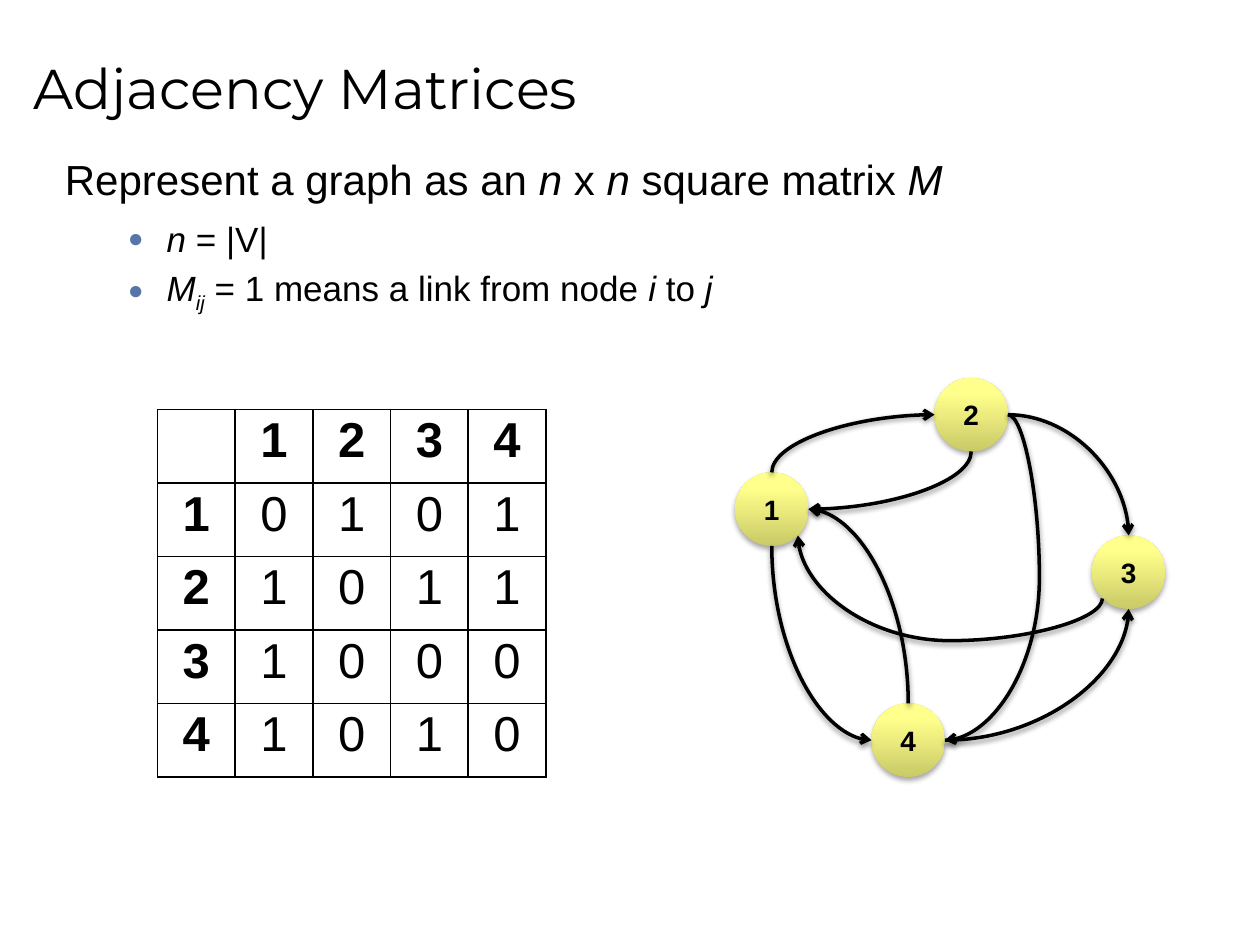
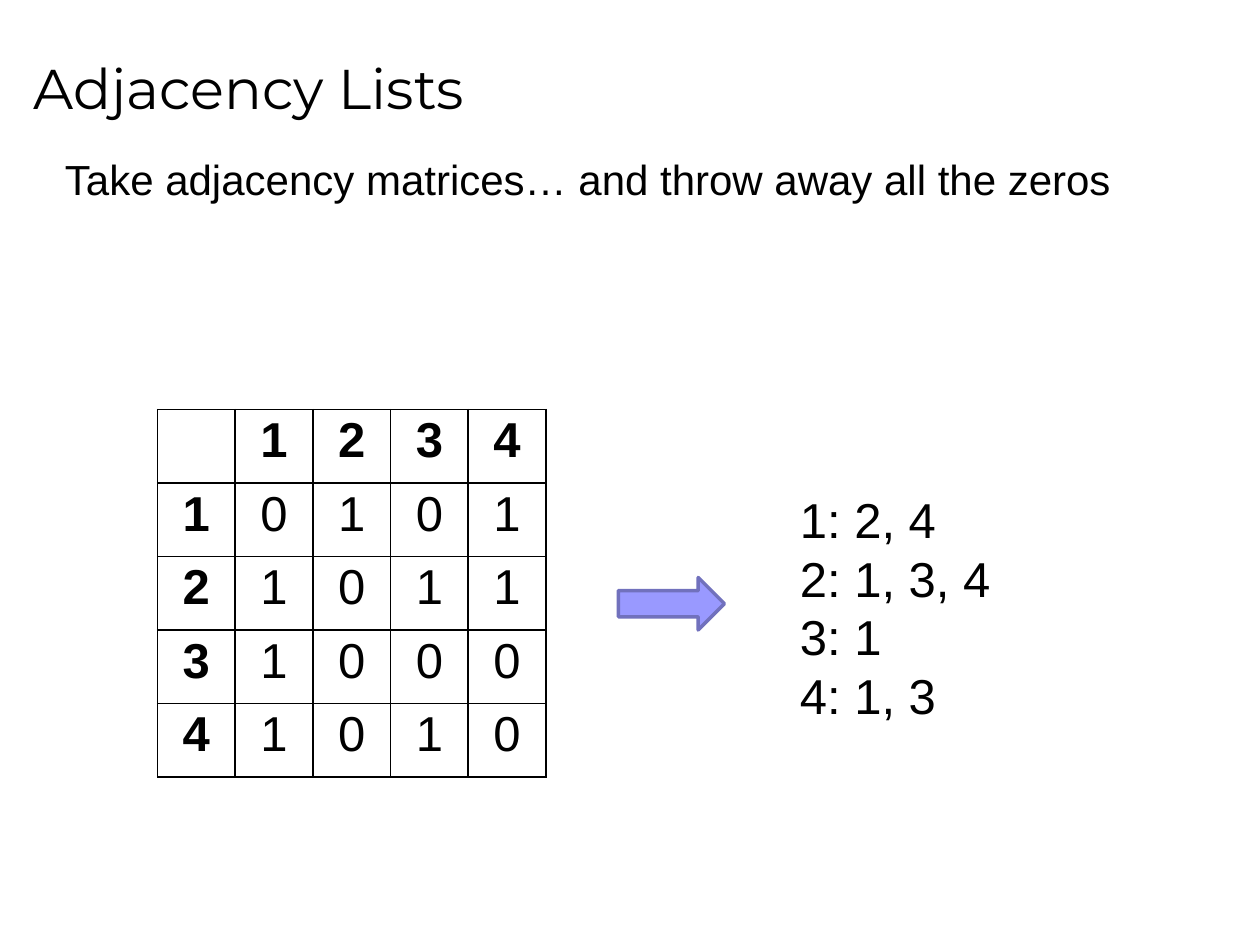
from pptx import Presentation
from pptx import util as u
from pptx.dml.color import RGBColor
from pptx.enum import shapes, text
from pptx.oxml import parse_xml
from pptx.oxml.ns import nsdecls, qn

PX = 7620  # EMU per px, 120 px to the inch
BLACK = RGBColor(0x00, 0x00, 0x00)
BULLET_BLUE = RGBColor(0x56, 0x75, 0xA9)
ARROW_FILL = RGBColor(0x99, 0x99, 0xFF)
ARROW_EDGE = RGBColor(0x71, 0x71, 0xBD)
NODE_STOPS = [(0, RGBColor(0xCA, 0xCA, 0x67)), (80, RGBColor(0xFF, 0xFF, 0x8C)),
              (100, RGBColor(0xFF, 0xFF, 0x8E))]
TITLE_FONT, BODY_FONT = "Montserrat", "Arial"

MATRIX = [[0, 1, 0, 1],
          [1, 0, 1, 1],
          [1, 0, 0, 0],
          [1, 0, 1, 0]]

NODE_SIZE = 70
NODE_CORNERS = {1: (700, 450), 2: (890, 360), 3: (1040, 510), 4: (830, 670)}
PORTS = {"N": (0, -35), "S": (0, 35), "W": (-35, 0), "E": (35, 0),
         "SW": (-25, 25), "SE": (25, 25)}
# from node, port, to node, port, bend of an S-shaped link
LINKS = [(1, "N", 2, "W", None), (1, "S", 4, "W", None),
         (2, "S", 1, "E", None), (2, "E", 3, "N", None),
         (2, "E", 4, "E", -0.5), (3, "SW", 1, "SE", -0.67),
         (4, "N", 1, "E", None), (4, "E", 3, "S", None)]


def px(*lengths):
    return [u.Emu(round(length * PX)) for length in lengths]


def element(tag, attributes="", inner=""):
    return parse_xml(f"<a:{tag} {nsdecls('a')} {attributes}>{inner}</a:{tag}>")


def colour(rgb, inner=""):
    return f'<a:srgbClr val="{rgb}">{inner}</a:srgbClr>'


def shadow(opacity, distance):
    return element("effectLst", inner=(
        f'<a:outerShdw blurRad="{u.Pt(3.1)}" dist="{u.Pt(distance)}" dir="5400000" '
        f'algn="ctr" rotWithShape="0">'
        + colour(BLACK, f'<a:alpha val="{opacity}000"/>') + "</a:outerShdw>"))


def port(node, side):
    return [corner + NODE_SIZE / 2 + offset
            for corner, offset in zip(NODE_CORNERS[node], PORTS[side])]


class Deck:
    def __init__(self):
        self.prs = Presentation()
        self.prs.slide_width, self.prs.slide_height = px(1200, 900)
        self.slide = None

    def new_slide(self, title):
        self.slide = self.prs.slides.add_slide(self.prs.slide_layouts[6])
        frame = self.text_box(20, 15, 1140, 135)
        frame.vertical_anchor = text.MSO_ANCHOR.MIDDLE
        self.run(frame.paragraphs[0], title, 32, font=TITLE_FONT)

    def text_box(self, *box, wrap=True):
        frame = self.slide.shapes.add_textbox(*px(*box)).text_frame
        frame.word_wrap = wrap
        return frame

    def run(self, paragraph, words, size, style="", bold=False, font=BODY_FONT):
        """Add a run; style may hold "i" (italic) and "sub" (subscript)."""
        run = paragraph.add_run()
        run.text = words
        run.font.name, run.font.size = font, u.Pt(size)
        run.font.color.rgb = BLACK
        run.font.bold, run.font.italic = bold, "i" in style
        if "sub" in style:
            run._r.get_or_add_rPr().set("baseline", "-25000")

    def body(self, lead, points=()):
        frame = self.text_box(50, 140, 1110, 670)
        self.body_paragraph(frame.paragraphs[0], lead, 24, 45, -45, 25)
        for point in points:
            paragraph = frame.add_paragraph()
            self.body_paragraph(paragraph, point, 20, 97, -37, 10)
            properties = paragraph._p.get_or_add_pPr()
            properties.append(element("buClr", inner=colour(BULLET_BLUE)))
            properties.append(element("buSzPct", 'val="75000"'))
            properties.append(element("buFont", f'typeface="{BODY_FONT}"'))
            properties.append(element("buChar", 'char="●"'))

    def body_paragraph(self, paragraph, runs, size, margin, indent, spacing):
        """Fill a paragraph; spacing is a percentage of the line."""
        properties = paragraph._p.get_or_add_pPr()
        for name, length in zip(("marL", "indent"), px(margin, indent)):
            properties.set(name, str(length))
        for tag in ("spcBef", "spcAft"):
            properties.append(element(tag, inner=f'<a:spcPct val="{spacing}000"/>'))
        for words, style in runs:
            self.run(paragraph, words, size, style)

    def matrix_table(self):
        count = len(MATRIX) + 1
        table = self.slide.shapes.add_table(
            count, count, *px(150, 390, 74 * count, 70 * count)).table
        table.first_row = table.horz_banding = False
        labels = list(range(1, count))
        rows = [["", *labels]] + [[n, *links] for n, links in zip(labels, MATRIX)]
        for r, row in enumerate(rows):
            for c, value in enumerate(row):
                self.matrix_cell(table.cell(r, c), str(value), bold=r == 0 or c == 0)

    def matrix_cell(self, cell, value, bold):
        properties = cell._tc.get_or_add_tcPr()
        for side in "LRTB":
            properties.append(element(
                f"ln{side}", f'w="{u.Pt(1)}"',
                f"<a:solidFill>{colour(BLACK)}</a:solidFill>"))
        cell.fill.background()
        cell.vertical_anchor = text.MSO_ANCHOR.MIDDLE
        paragraph = cell.text_frame.paragraphs[0]
        paragraph.alignment = text.PP_ALIGN.CENTER
        paragraph.line_spacing, paragraph.space_before = 0.71, u.Pt(8)
        if value:
            self.run(paragraph, value, 28, bold=bold)

    def node(self, number, left, top):
        node = self.slide.shapes.add_shape(
            shapes.MSO_SHAPE.OVAL, *px(left, top, NODE_SIZE, NODE_SIZE))
        stops = "".join(f'<a:gs pos="{at}000">{colour(rgb)}</a:gs>'
                        for at, rgb in NODE_STOPS)
        properties = node.element.spPr
        properties.append(element("gradFill", 'rotWithShape="1"',
                                  f'<a:gsLst>{stops}</a:gsLst><a:lin ang="16200000"/>'))
        node.line.fill.background()
        properties.append(shadow(35, 1.8))
        frame = node.text_frame
        frame.vertical_anchor = text.MSO_ANCHOR.MIDDLE
        frame.paragraphs[0].alignment = text.PP_ALIGN.CENTER
        self.run(frame.paragraphs[0], str(number), 16, bold=True)

    def link(self, source, source_side, target, target_side, bend):
        """Curve between two ports; one that leaves vertically is a turned connector."""
        (x1, y1), (x2, y2) = port(source, source_side), port(target, target_side)
        turn = 0
        if source_side[0] in "NS":
            dx, dy = x2 - x1, y2 - y1
            turn = -1 if dx * dy > 0 and bend is None else 1
            mid_x, mid_y = (x1 + x2) / 2, (y1 + y2) / 2
            half_w, half_h = turn * dy / 2, -turn * dx / 2
            x1, y1 = mid_x - half_w, mid_y - half_h
            x2, y2 = mid_x + half_w, mid_y + half_h
        curve = self.slide.shapes.add_connector(
            shapes.MSO_CONNECTOR.CURVE, *px(x1, y1, x2, y2))
        curve.line.color.rgb, curve.line.width = BLACK, u.Pt(2)
        properties = curve.element.spPr
        if turn:
            properties.find(qn("a:xfrm")).set("rot", str(turn * 90 % 360 * 60000))
        geometry = properties.find(qn("a:prstGeom"))
        if bend is None:
            geometry.set("prst", "curvedConnector2")
        else:
            guides = geometry.find(qn("a:avLst"))
            guides.append(element("gd", f'name="adj1" fmla="val {round(bend * 100000)}"'))
        properties.find(qn("a:ln")).append(element("tailEnd", 'type="arrow"'))
        properties.append(shadow(38, 1.6))

    def block_arrow(self, *box):
        arrow = self.slide.shapes.add_shape(shapes.MSO_SHAPE.RIGHT_ARROW, *px(*box))
        arrow.shadow.inherit = False
        arrow.fill.solid()
        arrow.fill.fore_color.rgb = ARROW_FILL
        arrow.line.color.rgb, arrow.line.width = ARROW_EDGE, u.Pt(2)

    def adjacency_lists(self, *box):
        frame = self.text_box(*box, wrap=False)
        for number, row in enumerate(MATRIX, 1):
            paragraph = frame.paragraphs[0] if number == 1 else frame.add_paragraph()
            neighbours = ", ".join(str(n) for n, linked in enumerate(row, 1) if linked)
            self.run(paragraph, f"{number}: {neighbours}", 28)


def main():
    deck = Deck()

    deck.new_slide("Adjacency Matrices")
    deck.body(
        [("Represent a graph as an ", ""), ("n", "i"), (" x ", ""), ("n", "i"),
         (" square matrix ", ""), ("M", "i")],
        [[("n", "i"), (" = |V|", "")],
         [("M", "i"), ("ij", "i sub"), (" = 1 means a link from node ", ""),
          ("i", "i"), (" to ", ""), ("j", "i")]])
    deck.matrix_table()
    for number, corner in NODE_CORNERS.items():
        deck.node(number, *corner)
    for link in LINKS:
        deck.link(*link)

    deck.new_slide("Adjacency Lists")
    deck.body([("Take adjacency matrices… and throw away all the zeros", "")])
    deck.adjacency_lists(750, 460, 210, 239)
    deck.block_arrow(589, 550, 101, 50)
    deck.matrix_table()

    deck.prs.save("out.pptx")


if __name__ == "__main__":
    main()
